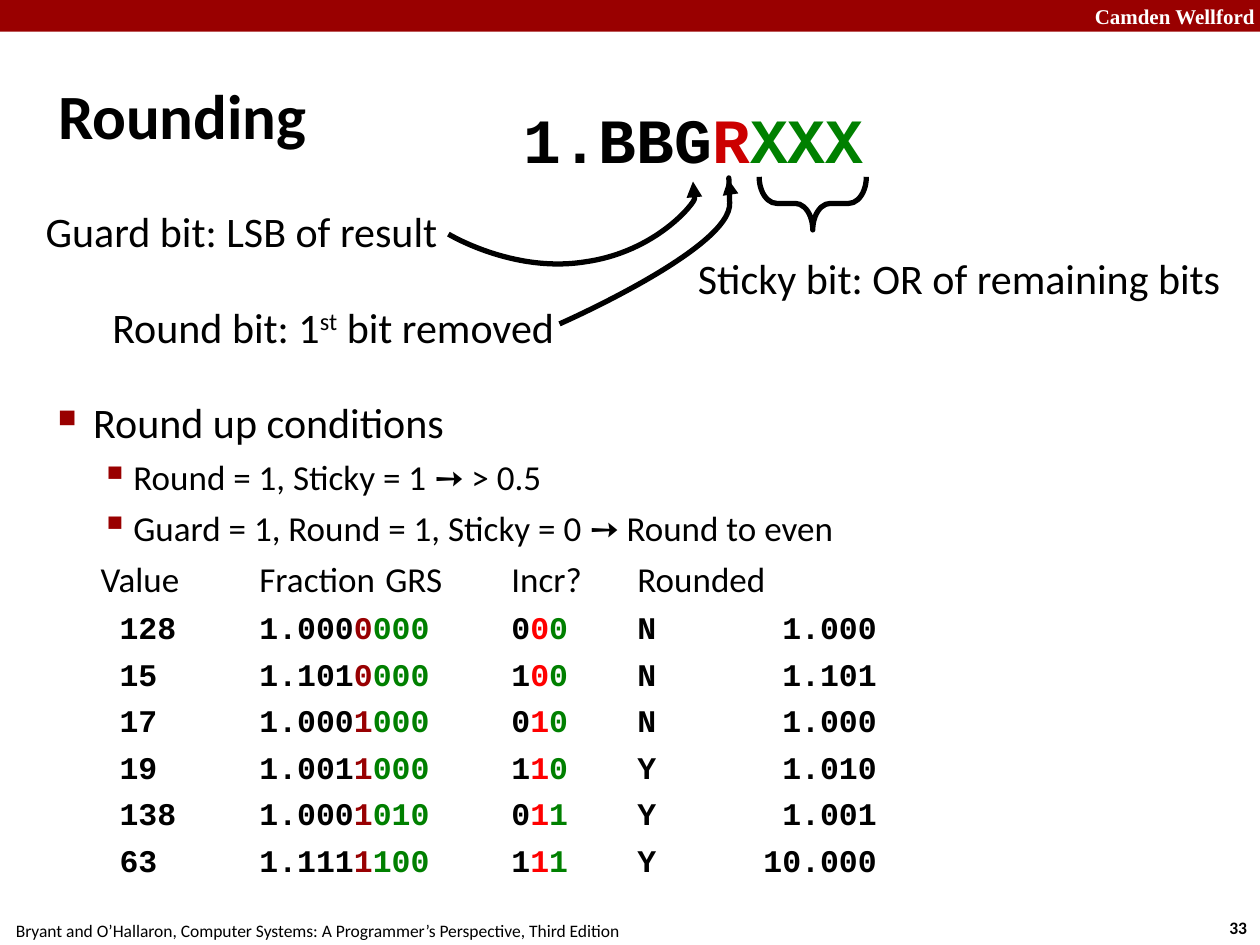
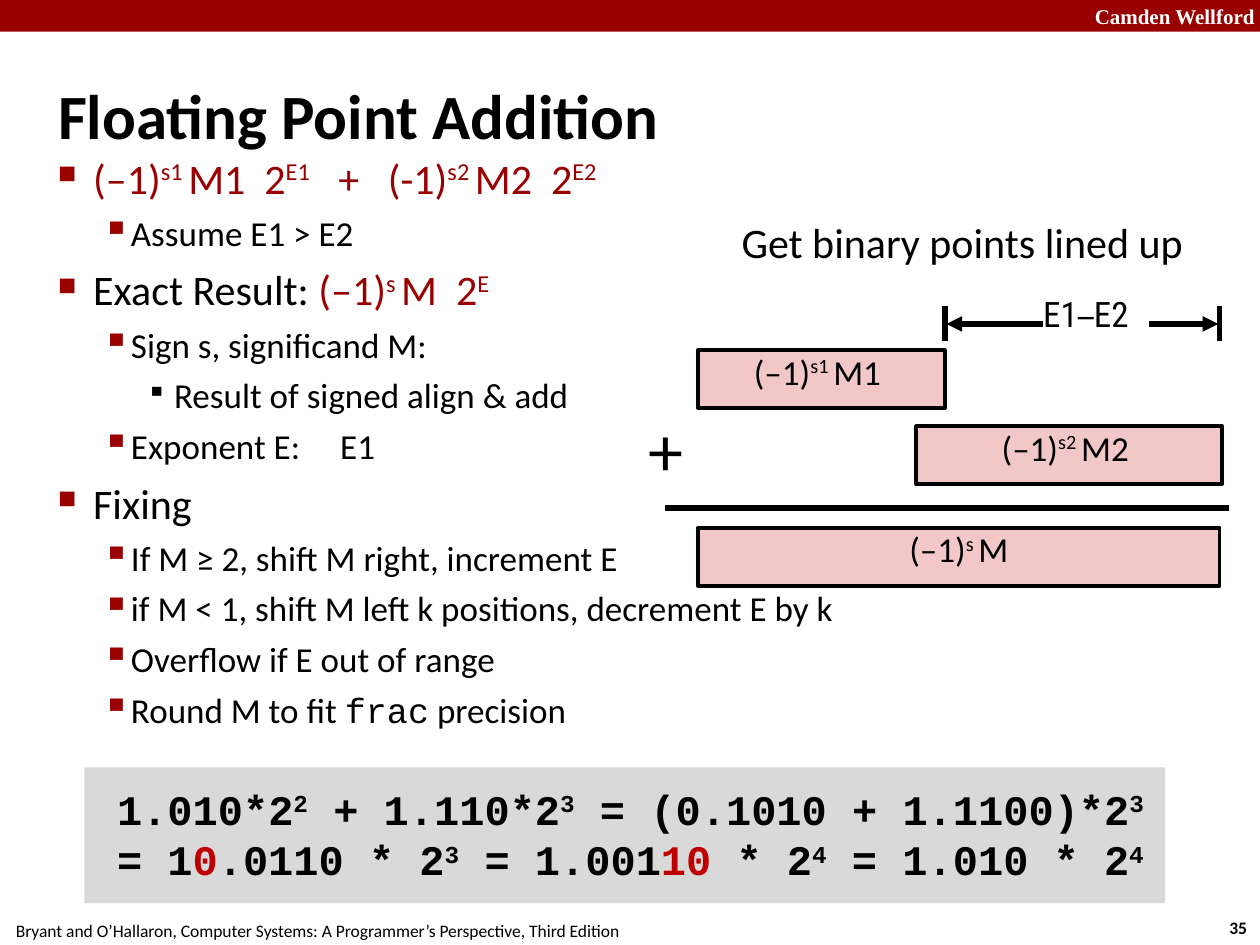
from dataclasses import dataclass

from lxml import etree
from pptx import Presentation
from pptx import util as u
from pptx.dml.color import RGBColor
from pptx.enum import shapes, text
from pptx.oxml.ns import qn

Cm, Pt = u.Cm, u.Pt
ALIGN, SHAPE = text.PP_ALIGN, shapes.MSO_SHAPE


@dataclass(frozen=True)
class Theme:
    black: str = "000000"
    white: str = "FFFFFF"
    band: str = "990000"
    formula: str = "980002"
    guard_round: str = "CC0000"
    round_bit: str = "FF0000"
    sticky: str = "008000"
    carry: str = "C00000"
    operand: str = "F1C7C7"
    panel: str = "D9D9D9"
    sans: str = "Calibri"
    mono: str = "Courier New"
    serif: str = "Times New Roman"
    title: int = 36
    large: int = 24
    medium: int = 20
    code: int = 18
    plus: int = 40
    brand: int = 12
    footer: int = 10
    inset: float = 0.1
    heavy: int = 3
    outline: int = 2


THEME = Theme()
FORMULA = {"color": THEME.formula}


@dataclass(frozen=True)
class Level:
    size: int
    margin: float
    indent: float
    before: int = 5
    bullet: str = ""
    bullet_size: int = 110
    bullet_color: str = THEME.band


MAIN = Level(THEME.large, 0.71, -0.71, 6, "■", 60)
HANGING = Level(THEME.medium, 1.52, -0.66, bullet="▪")
CLOSE = Level(THEME.medium, 0.89, 0, bullet="▪")
DETAIL = Level(THEME.medium, 2.34, -0.56, bullet="▪", bullet_size=80,
               bullet_color=THEME.black)
HEADING_ROW = Level(THEME.medium, 1.52, -0.66)
CODE_ROW = Level(THEME.code, 1.52, -0.66)


def power(base, exponent, raised=32, **style):
    """Return two runs: a base and its superscript."""
    return [(base, style), (exponent, {**style, "raised": raised})]


def add_runs(paragraph, runs, size, font=THEME.sans, color=THEME.black, bold=False):
    """Add plain strings or (text, style changes) pairs as runs."""
    for item in [runs] if isinstance(runs, str) else runs:
        words, style = (item, {}) if isinstance(item, str) else item
        run = paragraph.add_run()
        run.text = words
        run.font.size = Pt(size)
        run.font.name = style.get("font", font)
        run.font.bold = style.get("bold", bold)
        run.font.color.rgb = RGBColor.from_string(style.get("color", color))
        if "raised" in style:
            run._r.get_or_add_rPr().set("baseline", str(style["raised"] * 1000))


def set_frame(shape, inset=None, wrap=True, anchor=text.MSO_ANCHOR.TOP):
    frame = shape.text_frame
    frame.word_wrap = wrap
    frame.auto_size = text.MSO_AUTO_SIZE.NONE
    frame.vertical_anchor = anchor
    if inset is not None:
        frame.margin_left = frame.margin_right = Cm(inset)
        frame.margin_top = frame.margin_bottom = Cm(inset)
    return frame


def add_textbox(slide, box, lines, size, align=ALIGN.LEFT, inset=None, **style):
    """Add an unwrapped text box with one paragraph per item of lines."""
    shape = slide.shapes.add_textbox(*map(Cm, box))
    frame = set_frame(shape, inset, wrap=False)
    for index, runs in enumerate(lines):
        paragraph = frame.add_paragraph() if index else frame.paragraphs[0]
        paragraph.alignment = align
        add_runs(paragraph, runs, size, **style)


def add_rectangle(slide, box, fill, outlined=False, runs=None, align=ALIGN.CENTER):
    shape = slide.shapes.add_shape(SHAPE.RECTANGLE, *map(Cm, box))
    shape.shadow.inherit = False
    shape.fill.solid()
    shape.fill.fore_color.rgb = RGBColor.from_string(fill)
    if outlined:
        set_line(shape, THEME.outline)
    else:
        shape.line.fill.background()
    if runs:
        paragraph = set_frame(shape, 0).paragraphs[0]
        paragraph.alignment = align
        add_runs(paragraph, runs, THEME.medium)


def set_line(shape, width, arrows=()):
    """Draw a black line; arrows may hold headEnd and tailEnd, in that order."""
    shape.line.width = Pt(width)
    shape.line.color.rgb = RGBColor.from_string(THEME.black)
    for end in arrows:
        etree.SubElement(shape.line._get_or_add_ln(), qn(f"a:{end}"), type="triangle")


def add_line(slide, start, end, arrows=()):
    connector = slide.shapes.add_connector(
        shapes.MSO_CONNECTOR.STRAIGHT, *map(Cm, start + end))
    set_line(connector, THEME.heavy, arrows)
    etree.SubElement(connector._element.spPr, qn("a:effectLst"))


def add_curved_arrow(slide, start, controls):
    """Draw cubic curves; each three control points make one segment."""
    builder = slide.shapes.build_freeform(*map(Cm, start))
    builder.add_line_segments([(Cm(x), Cm(y)) for x, y in controls], close=False)
    shape = builder.convert_to_shape()
    outline = next(shape._element.iter(qn("a:path")))
    segments = outline.findall(qn("a:lnTo"))
    for first in range(0, len(segments), 3):
        curve = etree.SubElement(outline, qn("a:cubicBezTo"))
        for segment in segments[first:first + 3]:
            curve.append(segment[0])
            outline.remove(segment)
    shape.shadow.inherit = False
    shape.fill.background()
    set_line(shape, THEME.heavy, ["tailEnd"])


def add_brace(slide, box):
    brace = slide.shapes.add_shape(SHAPE.LEFT_BRACE, *map(Cm, box))
    brace.rotation = 270
    brace.adjustments[0] = 0.33
    brace.shadow.inherit = False
    brace.fill.background()
    set_line(brace, THEME.heavy)


def format_level(paragraph, level, tabs):
    paragraph.space_before = Pt(level.before)
    properties = paragraph._p.get_or_add_pPr()
    properties.set("marL", str(Cm(level.margin)))
    properties.set("indent", str(Cm(level.indent)))
    properties.set("defTabSz", str(Cm(2.54)))
    if level.bullet:
        color = etree.SubElement(properties, qn("a:buClr"))
        etree.SubElement(color, qn("a:srgbClr"), val=level.bullet_color)
        etree.SubElement(properties, qn("a:buSzPct"), val=str(level.bullet_size * 1000))
        etree.SubElement(properties, qn("a:buChar"), char=level.bullet)
    stops = etree.SubElement(properties, qn("a:tabLst"))
    for tab in tabs:
        etree.SubElement(stops, qn("a:tab"), pos=str(Cm(tab)), algn="l")


def add_body(slide, top, height, items, tabs):
    """Add the outline; items are (level, runs) pairs."""
    shape = slide.shapes.add_textbox(Cm(1.07), Cm(top), Cm(23.29), Cm(height))
    frame = set_frame(shape, THEME.inset)
    for index, (level, runs) in enumerate(items):
        paragraph = frame.add_paragraph() if index else frame.paragraphs[0]
        format_level(paragraph, level, tabs)
        is_code = level is CODE_ROW
        add_runs(paragraph, runs, level.size, bold=is_code,
                 font=THEME.mono if is_code else THEME.sans)


def add_titled_slide(presentation, title, number):
    """Add a slide with its title, band, footer and number."""
    slide = presentation.slides.add_slide(presentation.slide_layouts[5])
    shape = slide.shapes.title
    shape.left, shape.top, shape.width, shape.height = map(Cm, (1.07, 0.71, 23.29, 3.18))
    frame = set_frame(shape, THEME.inset, anchor=text.MSO_ANCHOR.MIDDLE)
    paragraph = frame.paragraphs[0]
    paragraph.alignment = ALIGN.LEFT
    properties = paragraph._p.get_or_add_pPr()
    properties.set("marL", str(Cm(0.33)))
    properties.set("indent", str(Cm(-0.33)))
    add_runs(paragraph, title, THEME.title, bold=True)
    add_rectangle(slide, (0, 0, 25.4, 0.64), THEME.band)
    add_textbox(slide, (21.82, -0.05, 3.53, 0.76), ["Camden Wellford"], THEME.brand,
                font=THEME.serif, color=THEME.white, bold=True)
    add_textbox(slide, (-0.05, 18.42, 12.9, 0.69),
                ["Bryant and O’Hallaron, Computer Systems: "
                 "A Programmer’s Perspective, Third Edition"],
                THEME.footer, ALIGN.CENTER)
    add_textbox(slide, (24.49, 18.36, 0.94, 0.69), [str(number)], THEME.footer,
                ALIGN.CENTER, bold=True)
    return slide


def rounding_row(value, kept, removed, rest, grs, increment, rounded):
    guard, round_bit, sticky = grs
    green = {"color": THEME.sticky}
    return CODE_ROW, [
        f" {value}\t{kept}", (removed, FORMULA), (f"{rest}\t", green),
        guard, (round_bit, {"color": THEME.round_bit}), (f"{sticky}\t", green),
        f"{increment}\t{rounded:>6}"]


def build_rounding(presentation):
    slide = add_titled_slide(presentation, "Rounding", 33)
    rows = [
        ("128", "1.000", "0", "000", "000", "N", "1.000"),
        ("15", "1.101", "0", "000", "100", "N", "1.101"),
        ("17", "1.000", "1", "000", "010", "N", "1.000"),
        ("19", "1.001", "1", "000", "110", "Y", "1.010"),
        ("138", "1.000", "1", "010", "011", "Y", "1.001"),
        ("63", "1.111", "1", "100", "111", "Y", "10.000"),
    ]
    items = [
        (MAIN, "Round up conditions"),
        (HANGING, "Round = 1, Sticky = 1 ➙ > 0.5"),
        (HANGING, "Guard = 1, Round = 1, Sticky = 0 ➙ Round to even"),
        (HEADING_ROW, "Value\tFraction\tGRS\tIncr?\tRounded"),
    ] + [rounding_row(*row) for row in rows]
    add_body(slide, 7.9, 11.07, items, [4.06 + 2.54 * step for step in range(5)])

    bits = ["1.BBG", ("R", {"color": THEME.guard_round}), ("XXX", {"color": THEME.sticky})]
    add_textbox(slide, (10.41, 1.93, 7.14, 1.75), [bits], THEME.title, ALIGN.CENTER,
                THEME.inset, font=THEME.mono, bold=True)
    labels = [
        ((0.41, 4.04, 8.51, 1.24), "Guard bit: LSB of result", ALIGN.RIGHT),
        ((1.85, 5.97, 9.42, 1.24),
         power("Round bit: 1", "st", 30) + [" bit removed"], ALIGN.RIGHT),
        ((13.97, 5, 11.07, 1.24), "Sticky bit: OR of remaining bits", ALIGN.LEFT),
    ]
    for box, runs, align in labels:
        add_textbox(slide, box, [runs], THEME.large, align, THEME.inset)
    add_brace(slide, (15.85, 3.02, 1.07, 2.16))
    add_curved_arrow(slide, (11.28, 6.53), [
        (11.28, 6.53), (14.76, 5), (14.71, 4.09),
        (14.68, 3.18), (14.68, 3.61), (14.68, 3.61)])
    add_curved_arrow(slide, (9.04, 4.72), [
        (9.04, 4.72), (10.34, 5.51), (11.79, 5.28),
        (13.23, 5.08), (14, 4.09), (14, 4.01),
        (14, 3.96), (13.97, 3.66), (13.97, 3.66)])


def add_alignment_diagram(slide):
    add_textbox(slide, (14.61, 4.24, 9.58, 1.27), ["Get binary points lined up"],
                THEME.large, ALIGN.CENTER)
    operands = [
        ((14.07, 7.06, 4.98, 1.17), "s1 ", "M1 "),
        ((18.47, 8.59, 6.17, 1.17), "s2 ", "M2 "),
        ((14.07, 10.64, 10.52, 1.17), "s ", "M"),
    ]
    for box, sign, significand in operands:
        add_rectangle(slide, box, THEME.operand, True, power("(–1)", sign) + [significand])
    for x in (19.05, 24.59):
        add_line(slide, (x, 6.17), (x, 6.88))
    add_line(slide, (19.08, 6.53), (24.56, 6.53), ["headEnd", "tailEnd"])
    condensed = {"font": "Roboto Condensed"}
    add_rectangle(slide, (21.03, 5.89, 2.13, 0.86), THEME.white, align=ALIGN.LEFT,
                  runs=[("E1", condensed), ("–", {"font": "Arial Narrow"}),
                        ("E2", condensed)])
    add_textbox(slide, (13.06, 8.2, 0.71, 1.7), ["+"], THEME.plus, ALIGN.CENTER, 0)
    add_line(slide, (13.41, 10.24), (24.77, 10.24))


def build_addition(presentation):
    slide = add_titled_slide(presentation, "Floating Point Addition", 35)
    items = [
        (MAIN, power("(–1)", "s1 ", **FORMULA) + power("M1  2", "E1", **FORMULA)
         + power("   +   (-1)", "s2 ", **FORMULA) + power("M2  2", "E2", **FORMULA)),
        (CLOSE, "Assume E1 > E2"),
        (MAIN, ["Exact Result: "] + power("(–1)", "s ", **FORMULA)
         + power("M  2", "E", **FORMULA)),
        (CLOSE, "Sign s, significand M:"),
        (DETAIL, "Result of signed align & add"),
        (CLOSE, "Exponent E: \tE1"),
        (MAIN, "Fixing"),
        (CLOSE, "If M ≥ 2, shift M right, increment E"),
        (CLOSE, "if M < 1, shift M left k positions, decrement E by k"),
        (CLOSE, "Overflow if E out of range"),
        (CLOSE, ["Round M to fit ", ("frac", {"font": THEME.mono}), " precision"]),
    ]
    add_body(slide, 2.97, 12.07, items, [5.69])
    add_alignment_diagram(slide)

    carry = {"color": THEME.carry}
    example = [
        power("1.010*2", "2", 30) + power(" + 1.110*2", "3", 30)
        + power(" = (0.1010 + 1.1100)*2", "3", 30),
        ["= 1", ("0", carry)] + power(".0110 * 2", "3", 30)
        + [" = 1.001", ("10", carry)] + power(" * 2", "4", 30)
        + power(" = 1.010 * 2", "4", 30),
    ]
    add_rectangle(slide, (1.7, 15.47, 21.79, 2.74), THEME.panel)
    add_textbox(slide, (2.11, 15.67, 22.02, 2.31), example, THEME.large,
                font=THEME.mono, bold=True)


def main():
    presentation = Presentation()
    presentation.slide_width, presentation.slide_height = Cm(25.4), Cm(19.05)
    build_rounding(presentation)
    build_addition(presentation)
    presentation.save("out.pptx")


if __name__ == "__main__":
    main()
